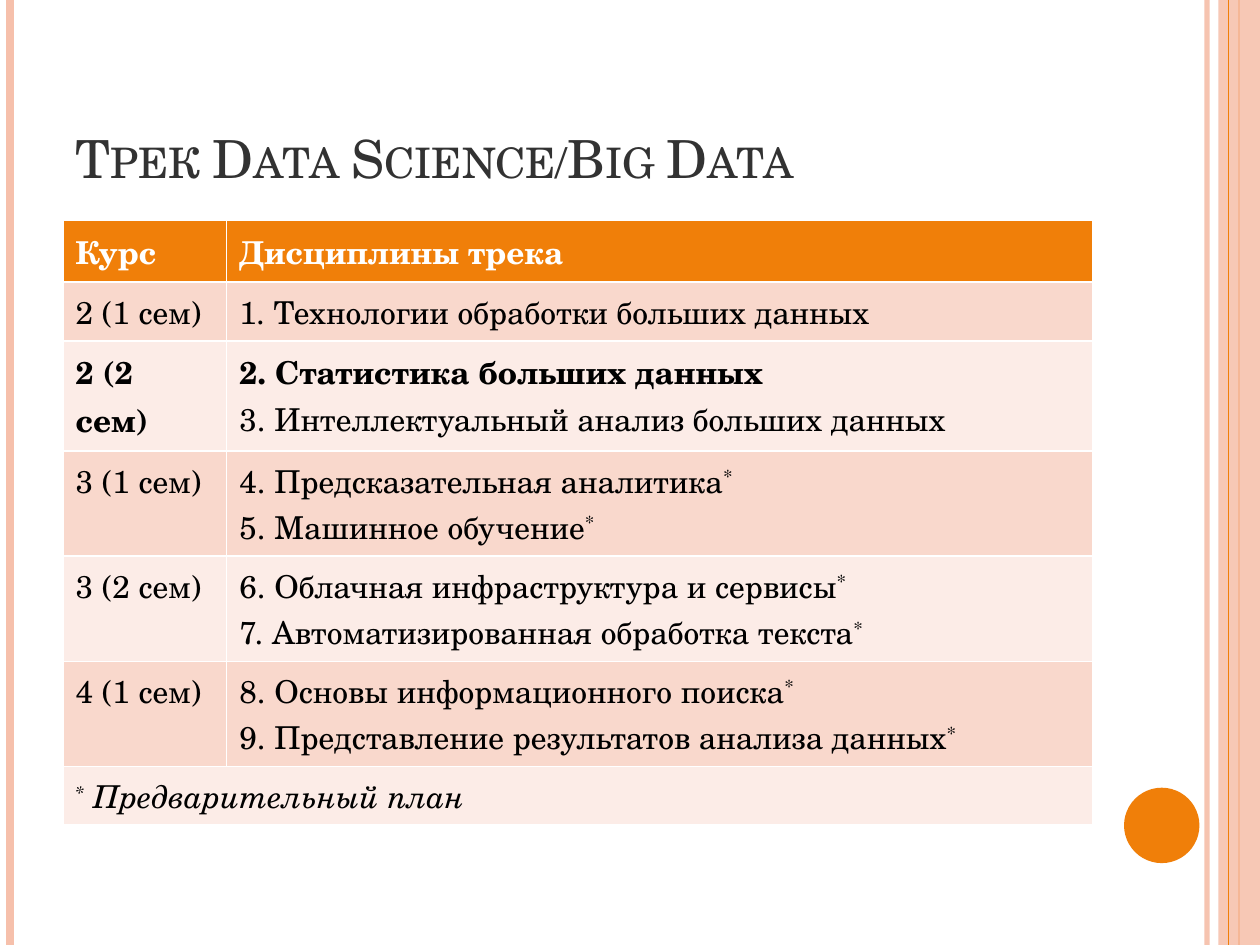
import pptx
import pptx.dml.color
import pptx.enum.shapes
import pptx.enum.text
import pptx.oxml.ns
import pptx.util
from lxml import etree
from pptx.util import Cm

FONT = "TeX Gyre Schola"
COLORS = {
    "accent": "F07F09",
    "stripe": "F6C0AB",
    "title": "323232",
    "text": "000000",
    "white": "FFFFFF",
    "odd_row": "F9D8CC",
    "even_row": "FCECE7",
}
SLIDE_W, SLIDE_H = Cm(25.4), Cm(19.05)

# "*" is set as superscript, "\v" breaks a line, "\n" starts a paragraph.
ROWS = [
    ("Курс", "Дисциплины трека"),
    ("2 (1 сем)", "1. Технологии обработки больших данных"),
    ("2 (2 сем)", "2. Статистика больших данных\v"
                  "3. Интеллектуальный анализ больших данных"),
    ("3 (1 сем)", "4. Предсказательная аналитика*\n5. Машинное обучение*"),
    ("3 (2 сем)", "6. Облачная инфраструктура и сервисы*\v"
                  "7. Автоматизированная обработка текста*"),
    ("4 (1 сем)", "8. Основы информационного поиска*\v"
                  "9. Представление результатов анализа данных*"),
    ("* Предварительный план", ""),
]
BOLD_TEXTS = {*ROWS[0], "2 (2 сем)", "2. Статистика больших данных"}


def rgb(name):
    return pptx.dml.color.RGBColor.from_string(COLORS[name])


def set_alpha(sp, percent):
    color = sp._element.spPr.find(".//" + pptx.oxml.ns.qn("a:srgbClr"))
    etree.SubElement(color, pptx.oxml.ns.qn("a:alpha"), val=str(percent * 1000))


def format_run(r, size, color, bold=False, italic=False):
    r.font.name = FONT
    r.font.size = pptx.util.Pt(size)
    r.font.color.rgb = rgb(color)
    r.font.bold = bold
    r.font.italic = italic


def add_stripe(slide, x, color, width):
    """Draw a vertical line over the full height of the slide."""
    line = slide.shapes.add_connector(
        pptx.enum.shapes.MSO_CONNECTOR.STRAIGHT, x, 0, x, SLIDE_H)
    line.line.color.rgb = rgb(color)
    line.line.width = pptx.util.Pt(width)
    etree.SubElement(line._element.spPr, pptx.oxml.ns.qn("a:effectLst"))
    return line


def add_filled_shape(slide, kind, x, y, w, h, color):
    sp = slide.shapes.add_shape(kind, x, y, w, h)
    sp.shadow.inherit = False
    sp.fill.solid()
    sp.fill.fore_color.rgb = rgb(color)
    sp.line.fill.background()
    return sp


def add_decoration(slide):
    shape_kind = pptx.enum.shapes.MSO_SHAPE
    set_alpha(add_stripe(slide, Cm(24.33), "stripe", 3), 93)
    add_stripe(slide, Cm(0.2), "stripe", 4.5)
    band_axis = add_stripe(slide, Cm(24.98), "accent", 1.5)
    band = add_filled_shape(slide, shape_kind.RECTANGLE,
                            Cm(24.56), 0, Cm(0.84), SLIDE_H, "stripe")
    set_alpha(band, 87)
    band_axis.begin_connect(band, 0)
    band_axis.end_connect(band, 2)
    add_stripe(slide, Cm(24.76), "accent", 0.75)
    add_filled_shape(slide, shape_kind.OVAL,
                     Cm(22.66), Cm(15.88), Cm(1.52), Cm(1.52), "accent")


def set_title(slide, text):
    title = slide.shapes.title
    title.left, title.top = Cm(1.27), Cm(0.76)
    title.width, title.height = Cm(20.75), Cm(3.18)
    tf = title.text_frame
    tf.text = text
    tf.vertical_anchor = pptx.enum.text.MSO_ANCHOR.BOTTOM
    p = tf.paragraphs[0]
    p.alignment = pptx.enum.text.PP_ALIGN.LEFT
    format_run(p.runs[0], 30, "title")
    p.runs[0].font._element.set("cap", "small")


def fill_cell(cell, text, fill, color, italic=False):
    cell.fill.solid()
    cell.fill.fore_color.rgb = rgb(fill)
    tf = cell.text_frame
    tf.text = text.replace("*", "").replace("\v", "") if not text else ""
    for i, line in enumerate(text.split("\n")):
        p = tf.add_paragraph() if i else tf.paragraphs[0]
        pieces = line.replace("*", "|*|").replace("\v", "|\v|").split("|")
        for piece in filter(None, pieces):
            if piece == "\v":
                p.add_line_break()
                continue
            r = p.add_run()
            r.text = piece
            format_run(r, 18, color, piece in BOLD_TEXTS, italic)
            if piece == "*":
                r.font._element.set("baseline", "30000")


def add_track_table(slide):
    frame = slide.shapes.add_table(len(ROWS), 2, Cm(1.27), Cm(4.45),
                                   Cm(20.75), Cm(10.21))
    table = frame.table
    table.columns[0].width, table.columns[1].width = Cm(3.3), Cm(17.45)
    last = len(ROWS) - 1
    for i, texts in enumerate(ROWS):
        table.rows[i].height = Cm(1.04)
        fill = "accent" if i == 0 else "odd_row" if i % 2 else "even_row"
        color = "text" if i else "white"
        for j, text in enumerate(texts):
            fill_cell(table.cell(i, j), text, fill, color, italic=i == last)
    table.cell(last, 0).merge(table.cell(last, 1))
    frame.height = Cm(10.21)


def main():
    prs = pptx.Presentation()
    prs.slide_width, prs.slide_height = SLIDE_W, SLIDE_H
    slide = prs.slides.add_slide(prs.slide_layouts[5])
    add_decoration(slide)
    set_title(slide, "Трек Data Science/Big Data")
    add_track_table(slide)
    prs.save("out.pptx")


if __name__ == "__main__":
    main()
